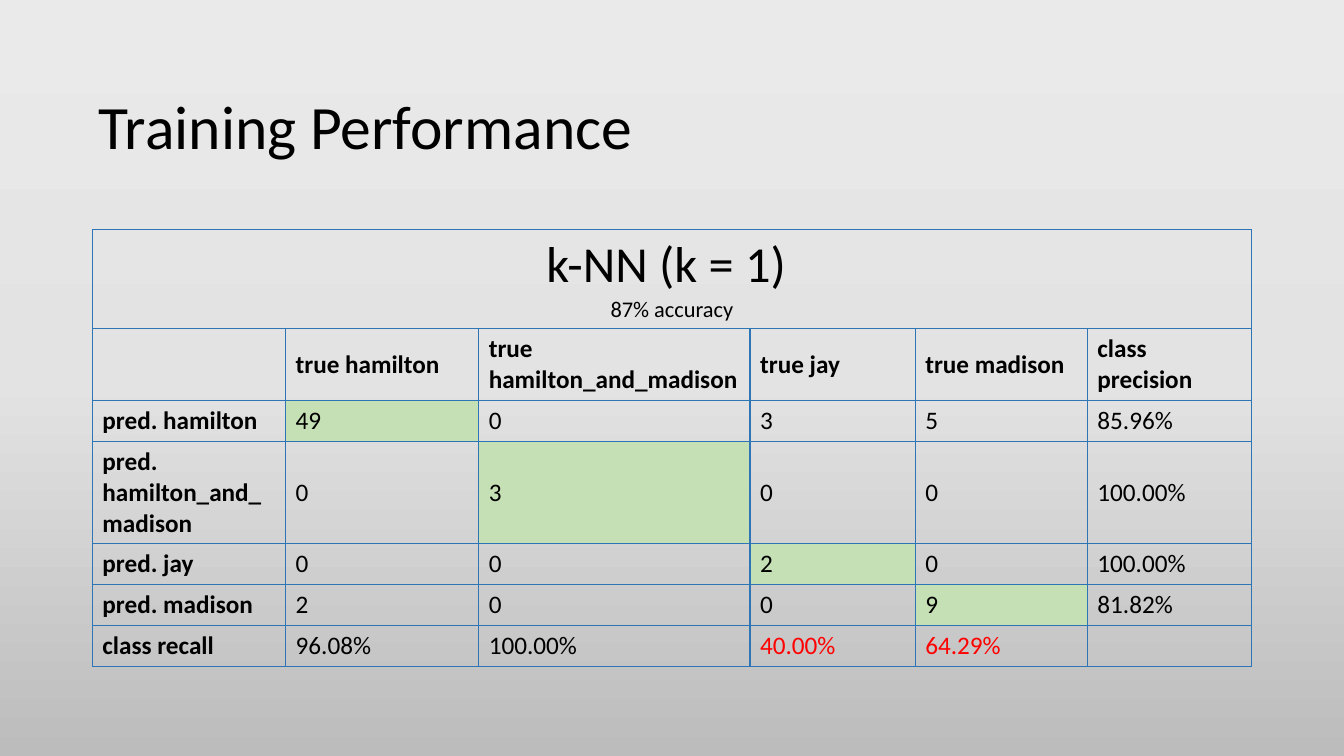
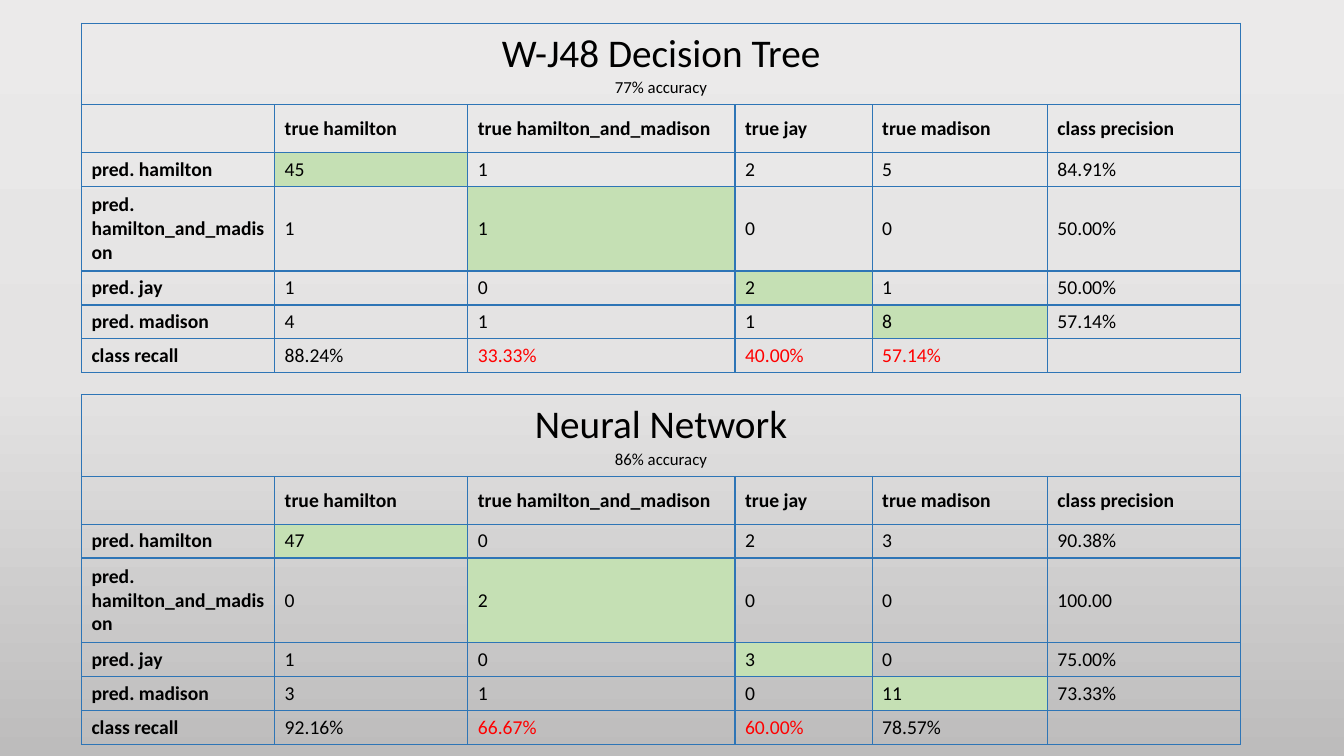
import copy
import pptx
import pptx.util
import pptx.dml.color
import pptx.enum.text
import pptx.oxml
import pptx.oxml.ns

Pt = pptx.util.Pt
MIDDLE = pptx.enum.text.MSO_ANCHOR.MIDDLE
CENTER = pptx.enum.text.PP_ALIGN.CENTER
FONT = "Calibri"
BLACK, RED, GREEN, BLUE = "000000", "FF0000", "C5E0B4", "2E75B6"
BACKGROUND = [(0, "EBEAEA"), (0.5, "E4E3E3"), (1, "BDBCBC")]
RECALL_LIMIT = 70
CLASSES = ["hamilton", "hamilton_and_madison", "jay", "madison"]
HEADINGS = [""] + [f"true {name}" for name in CLASSES] + ["class precision"]
ROW_LABELS = [f"pred. {name}" for name in CLASSES] + ["class recall"]


def color(value):
    return pptx.dml.color.RGBColor.from_string(value)


def write(paragraph, text, size, bold=False, ink=BLACK):
    run = paragraph.add_run()
    run.text = text
    formats = {"name": FONT, "size": Pt(size), "bold": bold}
    for attribute, value in formats.items():
        setattr(run.font, attribute, value)
    run.font.color.rgb = color(ink)


presentation = pptx.Presentation()
presentation.slide_width = Pt(960)
presentation.slide_height = Pt(540)

master = presentation.slide_master
background = master.background.fill
background.gradient()
background.gradient_angle = 270
stop_list = master.element.find(".//" + pptx.oxml.ns.qn("a:gsLst"))
stop_list.insert(1, copy.deepcopy(stop_list[0]))
for stop, (position, shade) in zip(background.gradient_stops, BACKGROUND):
    stop.position = position
    stop.color.rgb = color(shade)

large = {
    "columns": [138, 138, 193.8, 118, 123, 117.2],
    "rows": [70.8, 51.4, 29.2, 73, 29.2, 29.2, 29.2],
    "sizes": (36, 16, 18),
}
small = {
    "columns": [138, 138, 190.8, 98, 125.2, 138],
    "rows": [58.4, 34, 24.2, 60.6, 24.2, 24.2, 24.2],
    "sizes": (28, 12, 14),
}
slides = [
    {
        "title": "Training Performance",
        "tables": [
            (66, 164, large, "k-NN (k = 1) ", "87% accuracy", [
                ["49", "0", "3", "5", "85.96%"],
                ["0", "3", "0", "0", "100.00%"],
                ["0", "0", "2", "0", "100.00%"],
                ["2", "0", "0", "9", "81.82%"],
                ["96.08%", "100.00%", "40.00%", "64.29%", ""],
            ]),
        ],
    },
    {
        "title": "",
        "tables": [
            (58.2, 16.5, small, "W-J48 Decision Tree", "77% accuracy", [
                ["45", "1", "2", "5", "84.91%"],
                ["1", "1", "0", "0", "50.00%"],
                ["1", "0", "2", "1", "50.00%"],
                ["4", "1", "1", "8", "57.14%"],
                ["88.24%", "33.33%", "40.00%", "57.14%", ""],
            ]),
            (58.2, 282, small, "Neural Network", "86% accuracy", [
                ["47", "0", "2", "3", "90.38%"],
                ["0", "2", "0", "0", "100.00"],
                ["1", "0", "3", "0", "75.00%"],
                ["3", "1", "0", "11", "73.33%"],
                ["92.16%", "66.67%", "60.00%", "78.57%", ""],
            ]),
        ],
    },
]

for content in slides:
    slide = presentation.slides.add_slide(presentation.slide_layouts[6])
    if content["title"]:
        title = slide.shapes.add_textbox(Pt(63.4), Pt(40.3), Pt(828), Pt(104.4))
        title.text_frame.word_wrap = True
        title.text_frame.vertical_anchor = MIDDLE
        paragraph = title.text_frame.paragraphs[0]
        paragraph.line_spacing = 0.9
        write(paragraph, content["title"], 44)

    for left, top, layout, model, accuracy, results in content["tables"]:
        columns, rows = layout["columns"], layout["rows"]
        model_size, accuracy_size, body_size = layout["sizes"]
        table = slide.shapes.add_table(
            len(rows), len(columns), Pt(left), Pt(top), Pt(sum(columns)), Pt(sum(rows))
        ).table
        table.first_row = False
        table.horz_banding = False
        for column, width in zip(table.columns, columns):
            column.width = Pt(width)
        for row, height in zip(table.rows, rows):
            row.height = Pt(height)

        body = [[label] + values for label, values in zip(ROW_LABELS, results)]
        grid = [[""] * len(columns), HEADINGS] + body
        for row_index, texts in enumerate(grid):
            for column_index, text in enumerate(texts):
                cell = table.cell(row_index, column_index)
                cell.vertical_anchor = MIDDLE
                properties = cell._tc.get_or_add_tcPr()
                for side in "LRTB":
                    properties.append(pptx.oxml.parse_xml(
                        f'<a:ln{side} {pptx.oxml.ns.nsdecls("a")} w="12700"><a:solidFill>'
                        f'<a:srgbClr val="{BLUE}"/></a:solidFill></a:ln{side}>'
                    ))
                if column_index and column_index == row_index - 1 <= len(CLASSES):
                    cell.fill.solid()
                    cell.fill.fore_color.rgb = color(GREEN)
                else:
                    cell.fill.background()
                paragraph = cell.text_frame.paragraphs[0]
                if text:
                    is_label = row_index == 1 or column_index == 0
                    is_recall = row_index == len(grid) - 1 and not is_label
                    is_low = is_recall and float(text.rstrip("%")) < RECALL_LIMIT
                    write(paragraph, text, body_size, is_label, RED if is_low else BLACK)
                elif row_index or column_index:
                    paragraph._p.get_or_add_endParaRPr().set("sz", str(body_size * 100))

        heading = table.cell(0, 0)
        heading.merge(table.cell(0, len(columns) - 1))
        heading_frame = heading.text_frame
        write(heading_frame.paragraphs[0], model, model_size)
        write(heading_frame.add_paragraph(), accuracy, accuracy_size)
        for paragraph in heading_frame.paragraphs:
            paragraph.alignment = CENTER

presentation.save("out.pptx")
